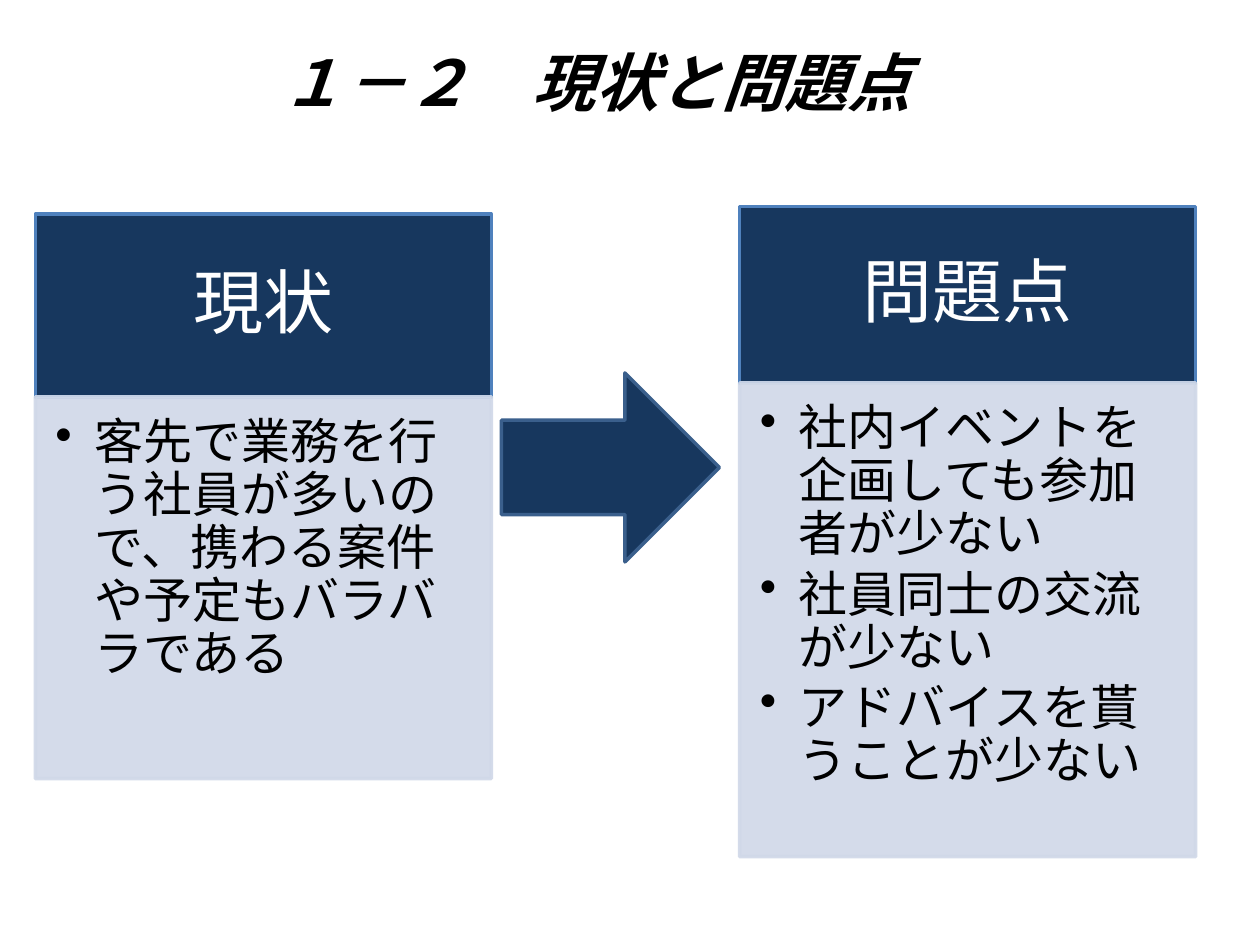
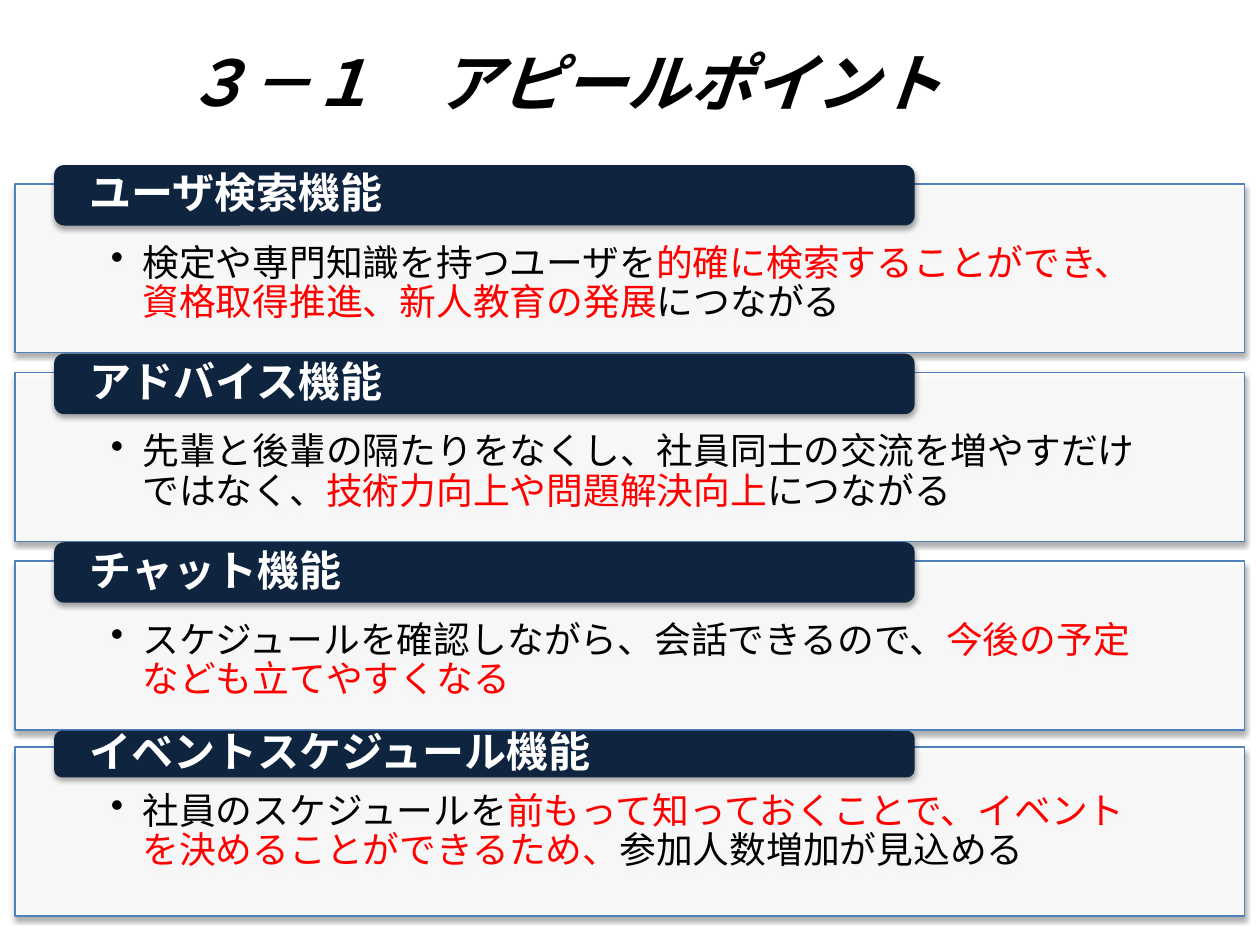
import pptx
import pptx.util
import pptx.dml.color
import pptx.enum.shapes
import pptx.enum.text
import pptx.oxml
import pptx.oxml.ns

Inches, Pt = pptx.util.Inches, pptx.util.Pt
RGB = pptx.dml.color.RGBColor
KIND = pptx.enum.shapes.MSO_SHAPE
ALIGN = pptx.enum.text.PP_ALIGN
ANCHOR = pptx.enum.text.MSO_ANCHOR
qn = pptx.oxml.ns.qn

# Content
ISSUES = "１－２　現状と問題点"
APPEAL = "３－１　アピールポイント　"
# Each column: left, top, head height, body height, head, bullets
COLUMNS = [
    (0.28, 1.7, 1.45, 3.03, "現状",
     ["客先で業務を行う社員が多いので、携わる案件や予定もバラバラである"]),
    (5.87, 1.64, 1.4, 3.76, "問題点",
     ["社内イベントを企画しても参加者が少ない",
      "社員同士の交流が少ない",
      "アドバイスを貰うことが少ない"]),
]
# Each feature: tag, then text pieces that are plain, red, plain
FEATURES = [
    ("ユーザ検索機能",
     ["検定や専門知識を持つユーザを",
      "的確に検索することができ、資格取得推進、新人教育の発展", "につながる"]),
    ("アドバイス機能",
     ["先輩と後輩の隔たりをなくし、社員同士の交流を増やすだけではなく、",
      "技術力向上や問題解決向上", "につながる"]),
    ("チャット機能",
     ["スケジュールを確認しながら、会話できるので、",
      "今後の予定なども立てやすくなる"]),
    ("イベントスケジュール機能",
     ["社員のスケジュールを",
      "前もって知っておくことで、イベントを決めることができるため、",
      "参加人数増加が見込める"]),
]

# Shared style
FONT = "Calibri"
BLACK, WHITE, RED = RGB(0, 0, 0), RGB(255, 255, 255), RGB(255, 0, 0)
NAVY, DARK = RGB(0x17, 0x37, 0x5E), RGB(0x0F, 0x24, 0x3E)
BLUE, STEEL = RGB(0x4F, 0x81, 0xBD), RGB(0x3A, 0x5F, 0x8C)
PALE = RGB(0xD0, 0xD8, 0xE8)


def add_node(parent, tag, **attrs):
    node = pptx.oxml.parse_xml(f"<{tag} {pptx.oxml.ns.nsdecls('a')}/>")
    for name, value in attrs.items():
        node.set(name, str(value))
    parent.append(node)
    return node


def style(para, size, color, bold=False):
    font = para.font
    font.name, font.size, font.bold = FONT, Pt(size), bold
    font.color.rgb = color


def start(deck, text):
    """Add a slide with the shared title."""
    slide = deck.slides.add_slide(deck.slide_layouts[5])
    title = slide.shapes.title
    title.left, title.top = Inches(0), Inches(0.21)
    title.width, title.height = Inches(9.45), Inches(0.87)
    title.text_frame.text = text
    title.text_frame.vertical_anchor = ANCHOR.MIDDLE
    para = title.text_frame.paragraphs[0]
    para.alignment = ALIGN.CENTER
    style(para, 36, BLACK, True)
    para.font.italic = True
    return slide


def add_box(slide, kind, box, fill, line=None, width=2, clear=()):
    """Add a flat shape; parts named in clear become 90% opaque."""
    shape = slide.shapes.add_shape(kind, *map(Inches, box))
    shape.shadow.inherit = False
    shape.fill.solid()
    shape.fill.fore_color.rgb = fill
    if line is None:
        shape.line.fill.background()
    else:
        shape.line.color.rgb = line
        shape.line.width = Pt(width)
    props = shape.fill._xPr
    for part in clear:
        add_node(props.find(part + "/" + qn("a:srgbClr")), "a:alpha", val=90000)
    return shape


def add_shade(shape):
    effects = shape.fill._xPr.find(qn("a:effectLst"))
    shade = add_node(effects, "a:outerShdw", blurRad=Pt(3.1), dist=Pt(1.8),
                     dir=5400000, rotWithShape=0)
    add_node(add_node(shade, "a:srgbClr", val="000000"), "a:alpha", val=35000)


def set_frame(shape, insets, anchor):
    frame = shape.text_frame
    frame.word_wrap = True
    frame.vertical_anchor = anchor
    (frame.margin_left, frame.margin_top,
     frame.margin_right, frame.margin_bottom) = map(Inches, insets)
    return frame


def write_head(shape, text, insets, size, align, bold=False):
    para = set_frame(shape, insets, ANCHOR.MIDDLE).paragraphs[0]
    para.text, para.alignment, para.line_spacing = text, align, 0.9
    style(para, size, WHITE, bold)


def write_list(shape, items, insets, size, indent):
    """Write bullets; within an item every second piece is red."""
    frame = set_frame(shape, insets, ANCHOR.TOP)
    for num, pieces in enumerate(items):
        para = frame.add_paragraph() if num else frame.paragraphs[0]
        props = para._p.get_or_add_pPr()
        props.set("marL", str(Inches(indent)))
        props.set("indent", str(-Inches(indent)))
        add_node(props, "a:buChar", char="•")
        para.alignment, para.line_spacing = ALIGN.LEFT, 0.9
        para.space_after = Pt(round(size * 0.16, 1))
        style(para, size, BLACK)
        for turn, piece in enumerate(pieces):
            run = para.add_run()
            run.text = piece
            if len(pieces) > 1:
                run.font.color.rgb = RED if turn % 2 else BLACK


def draw_issues(deck):
    slide = start(deck, ISSUES)
    wide = 3.62
    for left, top, high, deep, head, items in COLUMNS:
        cap = add_box(slide, KIND.RECTANGLE, (left, top, wide, high), NAVY, BLUE)
        write_head(cap, head, (0.31, 0.18, 0.31, 0.18), 40, ALIGN.CENTER)
        body = add_box(slide, KIND.RECTANGLE, (left, top + high, wide, deep),
                       PALE, PALE,
                       clear=(qn("a:solidFill"),
                              qn("a:ln") + "/" + qn("a:solidFill")))
        write_list(body, [[item] for item in items],
                   (0.16, 0.16, 0.22, 0.24), 28, 0.31)
    add_box(slide, KIND.RIGHT_ARROW, (3.98, 2.96, 1.73, 1.5), NAVY, STEEL)


def draw_appeal(deck):
    slide = start(deck, APPEAL)
    last = len(FEATURES) - 1
    for num, (name, pieces) in enumerate(FEATURES):
        top = 1.31 + 4.49 * num / last
        # The last tag is lower in height
        high, drop, inset = (0.37, 0.13, 0.36) if num == last else (0.48, 0.15, 0.48)
        panel = add_box(slide, KIND.RECTANGLE, (0.12, top + drop, 9.76, 1.34),
                        WHITE, BLUE, 0.75, clear=(qn("a:solidFill"),))
        add_shade(panel)
        write_list(panel, [pieces], (0.76, inset, 0.76, 0.16), 21, 0.25)
        tag = add_box(slide, KIND.ROUNDED_RECTANGLE, (0.43, top, 6.83, high), DARK)
        add_shade(tag)
        write_head(tag, name, (0.26, 0, 0.26, 0), 24, ALIGN.LEFT, True)


def main():
    deck = pptx.Presentation()
    deck.slide_width, deck.slide_height = Inches(10), Inches(7.5)
    draw_issues(deck)
    draw_appeal(deck)
    deck.save("out.pptx")


if __name__ == "__main__":
    main()
